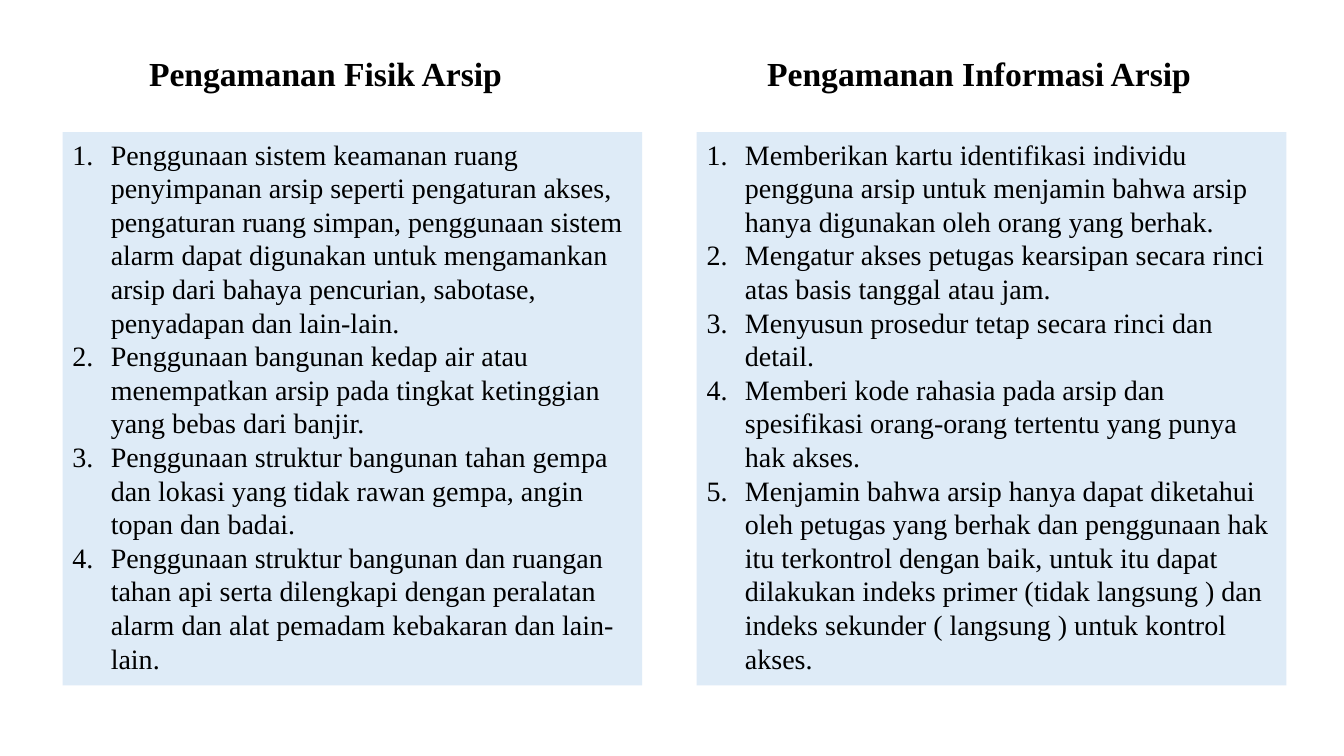
import dataclasses

import pptx
import pptx.dml.color
import pptx.enum.shapes
import pptx.enum.text
import pptx.oxml
import pptx.util

PX = 9144  # EMU per px, 100 px to the inch


@dataclasses.dataclass(frozen=True)
class Theme:
    font: str = "Times New Roman"
    ink: str = "000000"
    panel: str = "DEEBF7"
    heading_pt: int = 24
    body_pt: int = 20


THEME = Theme()
HEADING_TOP, HEADING_HEIGHT = 48, 50
PANEL_TOP, PANEL_HEIGHT = 131, 549
NUMBER_INDENT = 38

# heading, (heading left, width), (panel left, width), numbered items
COLUMNS = [
    ("Pengamanan Fisik Arsip", (138, 374), (62, 575), [
        "Penggunaan sistem keamanan ruang penyimpanan arsip seperti "
        "pengaturan akses, pengaturan ruang simpan, penggunaan sistem alarm "
        "dapat digunakan untuk mengamankan arsip dari bahaya pencurian, "
        "sabotase, penyadapan dan lain-lain.",
        "Penggunaan bangunan kedap air atau menempatkan arsip pada tingkat "
        "ketinggian yang bebas dari banjir.",
        "Penggunaan struktur bangunan tahan gempa dan lokasi yang tidak "
        "rawan gempa, angin topan dan badai.",
        "Penggunaan struktur bangunan dan ruangan tahan api serta dilengkapi "
        "dengan peralatan alarm dan alat pemadam kebakaran dan lain-lain.",
    ]),
    ("Pengamanan Informasi Arsip", (751, 445), (691, 585), [
        "Memberikan kartu identifikasi individu pengguna arsip untuk "
        "menjamin bahwa arsip hanya digunakan oleh orang yang berhak.",
        "Mengatur akses petugas kearsipan secara rinci atas basis tanggal "
        "atau jam.",
        "Menyusun prosedur tetap secara rinci dan detail.",
        "Memberi kode rahasia pada arsip dan spesifikasi orang-orang "
        "tertentu yang punya hak akses.",
        "Menjamin bahwa arsip hanya dapat diketahui oleh petugas yang berhak "
        "dan penggunaan hak itu terkontrol dengan baik, untuk itu dapat "
        "dilakukan indeks primer (tidak langsung ) dan indeks sekunder "
        "( langsung ) untuk kontrol akses.",
    ]),
]


def box(left, top, width, height):
    return [pptx.util.Emu(v * PX) for v in (left, top, width, height)]


def rgb(value):
    return pptx.dml.color.RGBColor.from_string(value)


def write(p, text, *, size, bold=False, color=THEME.ink):
    p.alignment = pptx.enum.text.PP_ALIGN.LEFT
    r = p.add_run()
    r.text = text
    r.font.name = THEME.font
    r.font.size = pptx.util.Pt(size)
    r.font.bold = bold
    r.font.color.rgb = rgb(color)


def number(p):
    """Give the paragraph automatic numbering with a hanging indent."""
    pPr = p._p.get_or_add_pPr()
    pPr.set("marL", str(NUMBER_INDENT * PX))
    pPr.set("indent", str(-NUMBER_INDENT * PX))
    bullet = pptx.oxml.parse_xml(
        '<a:buAutoNum xmlns:a="http://schemas.openxmlformats.org/drawingml/'
        '2006/main" type="arabicPeriod"/>')
    pPr.append(bullet)


def add_heading(s, text, left, width):
    sp = s.shapes.add_textbox(*box(left, HEADING_TOP, width, HEADING_HEIGHT))
    tf = sp.text_frame
    tf.word_wrap = False
    write(tf.paragraphs[0], text, size=THEME.heading_pt, bold=True)


def add_numbered_panel(s, items, left, width):
    sp = s.shapes.add_shape(pptx.enum.shapes.MSO_SHAPE.RECTANGLE,
                            *box(left, PANEL_TOP, width, PANEL_HEIGHT))
    sp.shadow.inherit = False
    sp.fill.solid()
    sp.fill.fore_color.rgb = rgb(THEME.panel)
    sp.line.fill.background()
    tf = sp.text_frame
    tf.word_wrap = True
    tf.vertical_anchor = pptx.enum.text.MSO_ANCHOR.TOP
    for i, item in enumerate(items):
        p = tf.add_paragraph() if i else tf.paragraphs[0]
        write(p, item, size=THEME.body_pt)
        number(p)


def main():
    prs = pptx.Presentation()
    prs.slide_width = pptx.util.Emu(1333 * PX)
    prs.slide_height = pptx.util.Emu(750 * PX)
    s = prs.slides.add_slide(prs.slide_layouts[6])
    for heading, heading_span, panel_span, items in COLUMNS:
        add_heading(s, heading, *heading_span)
        add_numbered_panel(s, items, *panel_span)
    prs.save("out.pptx")


if __name__ == "__main__":
    main()
